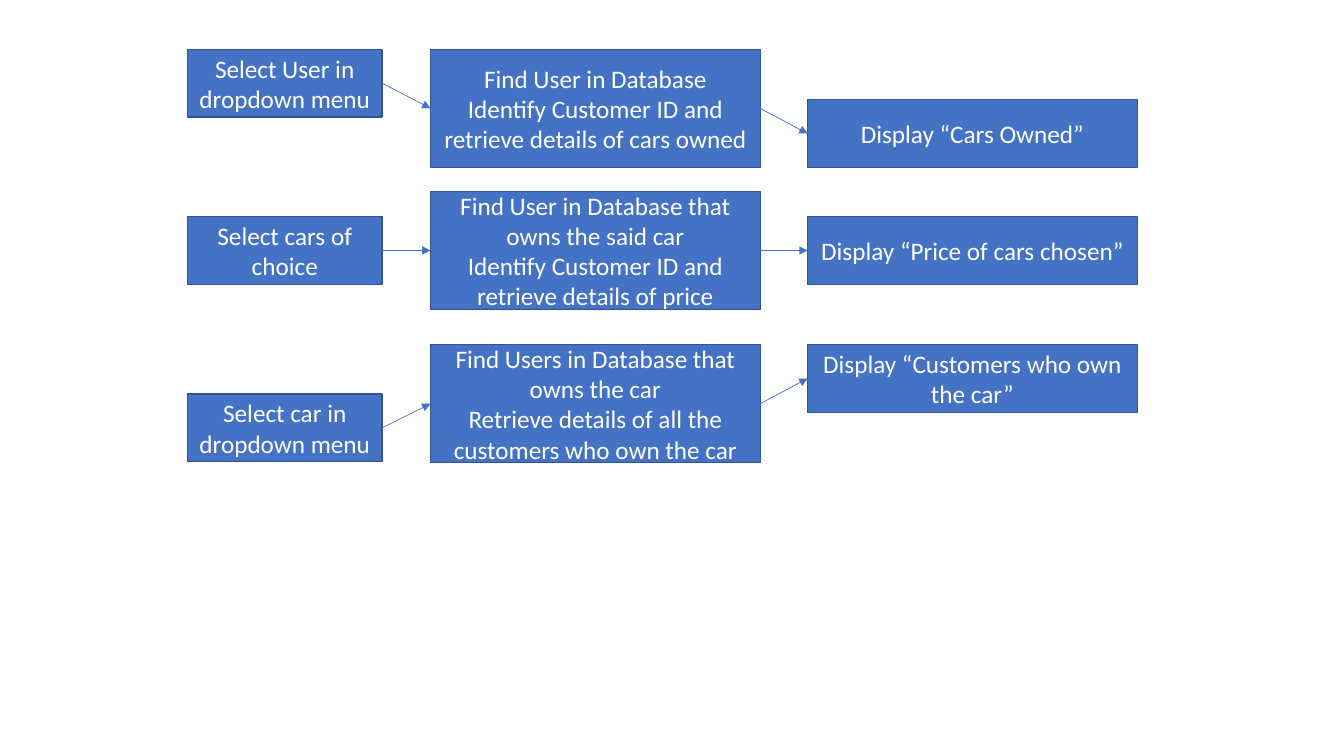
from pptx import Presentation
from pptx.dml.color import RGBColor
from pptx.enum.shapes import MSO_CONNECTOR, MSO_SHAPE
from pptx.enum.text import MSO_ANCHOR, PP_ALIGN
from pptx.oxml.ns import qn
from pptx.util import Inches, Pt
from lxml import etree

BLUE = RGBColor(0x44, 0x72, 0xC4)
DARK_BLUE = RGBColor(0x32, 0x54, 0x91)
WHITE = RGBColor(0xFF, 0xFF, 0xFF)

# Left, width and height of the select, find and display columns
COLUMNS = [(1.86, 1.93, 0.67), (4.27, 3.27, 1.17), (8.01, 3.27, 0.67)]

# Each flow: (top, paragraphs) for every step
FLOWS = [
    [
        (0.49, ["Select User in dropdown menu"]),
        (0.49, ["Find User in Database",
                "Identify Customer ID and retrieve details of cars owned"]),
        (0.99, ["Display “Cars Owned”"]),
    ],
    [
        (2.15, ["Select cars of choice"]),
        (1.9, ["Find User in Database that owns the said car",
               "Identify Customer ID and retrieve details of price"]),
        (2.15, ["Display “Price of cars chosen”"]),
    ],
    [
        (3.91, ["Select car in dropdown menu"]),
        (3.42, ["Find Users in Database that owns the car",
                "Retrieve details of all the customers who own the car"]),
        (3.42, ["Display “Customers who own the car”"]),
    ],
]


def add_step(left, top, width, height, lines):
    step = slide.shapes.add_shape(
        MSO_SHAPE.FLOWCHART_PROCESS,
        Inches(left), Inches(top), Inches(width), Inches(height))
    step.shadow.inherit = False
    step.fill.solid()
    step.fill.fore_color.rgb = BLUE
    step.line.color.rgb = DARK_BLUE
    step.line.width = Pt(1)
    frame = step.text_frame
    frame.word_wrap = True
    frame.vertical_anchor = MSO_ANCHOR.MIDDLE
    frame.text = "\n".join(lines)
    for paragraph in frame.paragraphs:
        paragraph.alignment = PP_ALIGN.CENTER
        paragraph.font.size = Pt(18)
        paragraph.font.name = "Calibri"
        paragraph.font.color.rgb = WHITE
    return step


def add_arrow(source, target):
    arrow = slide.shapes.add_connector(MSO_CONNECTOR.STRAIGHT, 0, 0, 0, 0)
    arrow.begin_connect(source, 3)
    arrow.end_connect(target, 1)
    arrow.line.color.rgb = BLUE
    arrow.line.width = Pt(0.5)
    etree.SubElement(arrow.line._get_or_add_ln(), qn("a:tailEnd"), type="triangle")
    etree.SubElement(arrow._element.spPr, qn("a:effectLst"))


presentation = Presentation()
presentation.slide_width = Inches(13.33)
presentation.slide_height = Inches(7.5)
slide = presentation.slides.add_slide(presentation.slide_layouts[6])

# Flows: three steps in a row, joined by arrows
for flow in FLOWS:
    steps = [add_step(left, top, width, height, lines)
             for (left, width, height), (top, lines) in zip(COLUMNS, flow)]
    for source, target in zip(steps, steps[1:]):
        add_arrow(source, target)

presentation.save("out.pptx")
